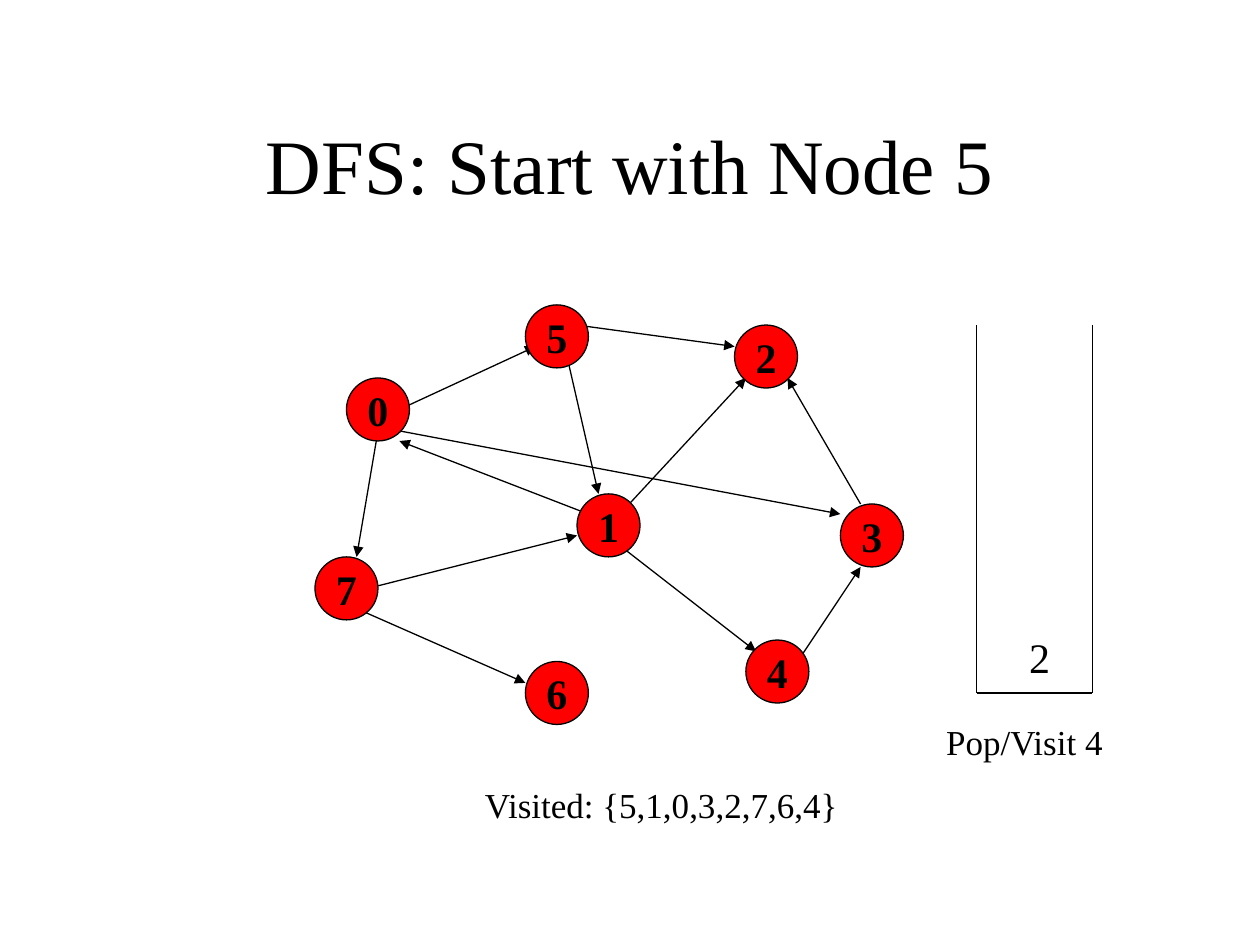
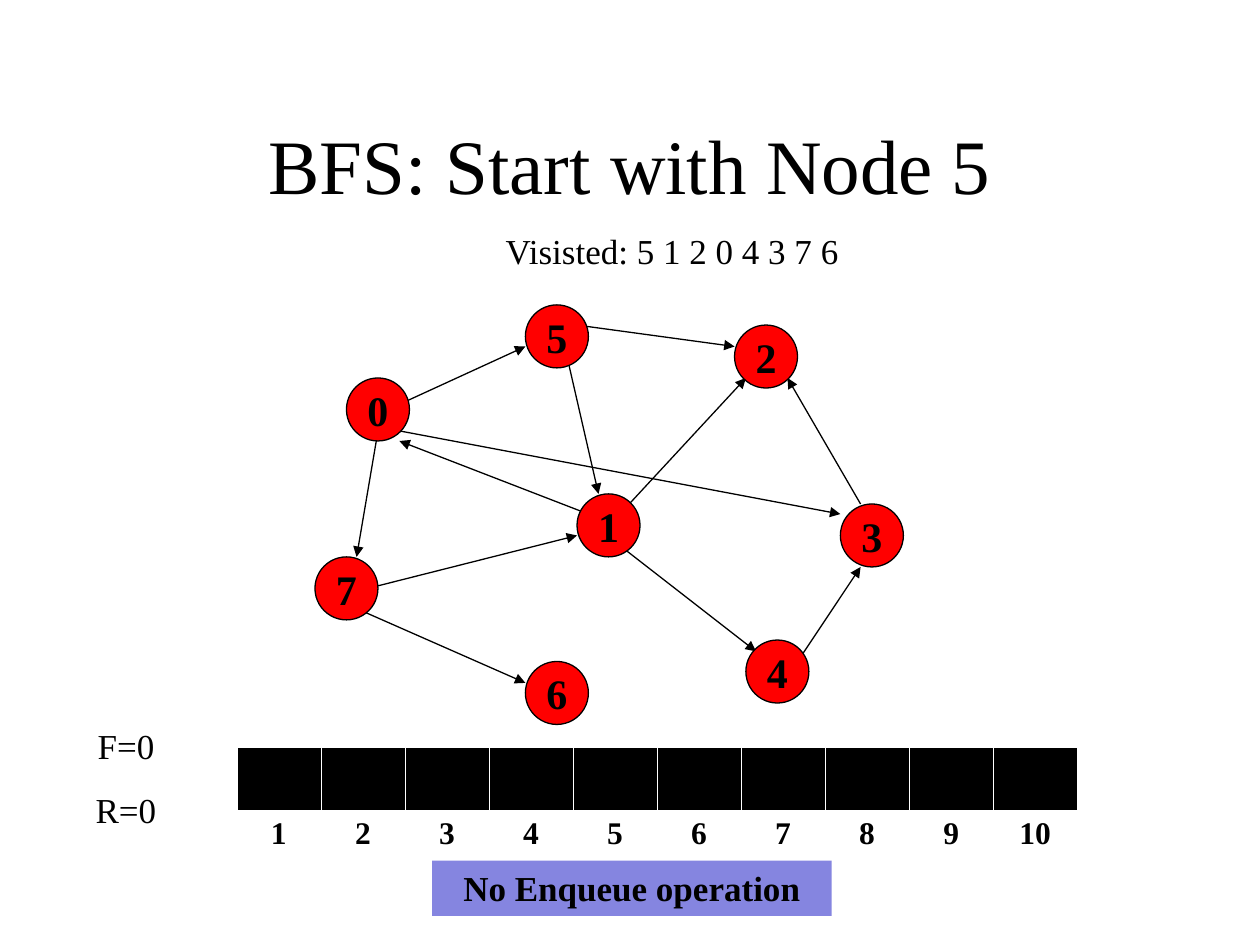
from lxml.etree import SubElement
from pptx import Presentation
from pptx.dml.color import RGBColor
from pptx.enum.shapes import MSO_CONNECTOR, MSO_SHAPE
from pptx.enum.text import MSO_ANCHOR, PP_ALIGN
from pptx.oxml.ns import qn
from pptx.util import Inches, Pt

FONT = "Times New Roman"
BLACK, WHITE, RED, LILAC = "000000", "FFFFFF", "FF0000", "8585E0"
rgb = RGBColor.from_string

SIZE = 0.5
NODES = {
    "0": (2.75, 3), "7": (2.5, 4.42), "1": (4.58, 3.92), "5": (4.17, 2.42),
    "4": (5.92, 5.08), "3": (6.67, 4), "2": (5.83, 2.58), "6": (4.17, 5.25),
}
EDGES = [
    (4.92, 4.08, 5.92, 3),     # 1 to 2
    (4.5, 2.83, 4.75, 3.92),   # 5 to 1
    (2.92, 4.67, 4.58, 4.25),  # 7 to 1
    (2.83, 4.83, 4.17, 5.42),  # 7 to 6
    (3, 3.42, 2.83, 4.42),     # 0 to 7
    (4.92, 4.33, 6, 5.17),     # 1 to 4
    (6.33, 5.25, 6.83, 4.5),   # 4 to 3
    (6.83, 4, 6.25, 3),        # 3 to 2
    (4.58, 2.58, 5.83, 2.75),  # 5 to 2
    (3.17, 3.42, 6.67, 4.08),  # 0 to 3
    (4.67, 4.08, 3.17, 3.5),   # 1 to 0
]
# Each title with its own edge from 0 to 5
TOPICS = [
    ("DFS: Start with Node 5", (3.17, 3.25, 4.25, 2.75)),
    ("BFS: Start with Node 5", (3.08, 3.25, 4.17, 2.75)),
]


def write(shape, text, size=20, bold=False, align=PP_ALIGN.CENTER,
          anchor=MSO_ANCHOR.TOP, wrap=True):
    """Put styled text in a shape, text box or table cell."""
    frame = shape.text_frame
    frame.text = text
    frame.word_wrap = wrap
    frame.vertical_anchor = anchor
    for i, para in enumerate(frame.paragraphs):
        para.alignment = align
        if i:
            para.space_before = Pt(12.5)
        for run in para.runs:
            font = run.font
            font.name, font.size, font.bold = FONT, Pt(size), bold
            font.color.rgb = rgb(BLACK)


def join(slide, ends, arrow=True):
    """Draw a thin black line from one point to another."""
    link = slide.shapes.add_connector(
        MSO_CONNECTOR.STRAIGHT, *[Inches(n) for n in ends])
    link.line.color.rgb = rgb(BLACK)
    link.line.width = Pt(0.75)
    props = link._element.spPr
    if arrow:
        SubElement(props.find(qn("a:ln")), qn("a:tailEnd"), type="triangle")
    SubElement(props, qn("a:effectLst"))


deck = Presentation()
deck.slide_width, deck.slide_height = Inches(10), Inches(7.5)

# Title and graph on both slides
for title, edge in TOPICS:
    slide = deck.slides.add_slide(deck.slide_layouts[6])
    box = slide.shapes.add_textbox(
        Inches(0.75), Inches(0.67), Inches(8.5), Inches(1.25))
    write(box, title, 44, anchor=MSO_ANCHOR.MIDDLE)
    for ends in EDGES + [edge]:
        join(slide, ends)
    for name, (x, y) in NODES.items():
        node = slide.shapes.add_shape(
            MSO_SHAPE.OVAL, Inches(x), Inches(y), Inches(SIZE), Inches(SIZE))
        node.shadow.inherit = False
        node.fill.solid()
        node.fill.fore_color.rgb = rgb(RED)
        node.line.color.rgb = rgb(BLACK)
        node.line.width = Pt(0.75)
        write(node, name, 24, True, anchor=MSO_ANCHOR.MIDDLE, wrap=False)

dfs, bfs = deck.slides

# Stack
left, right, top, base = 7.75, 8.67, 2.58, 5.5
for ends in [(left, top, left, base), (right, top, right, base),
             (left, base, right, base)]:
    join(dfs, ends, arrow=False)
stack = dfs.shapes.add_textbox(
    Inches(7.79), Inches(top), Inches(right - left), Inches(2.88))
write(stack, "2", 24, anchor=MSO_ANCHOR.BOTTOM)

# Queue: slots, then their numbers
COLS = 10
numbers = [str(n + 1) for n in range(COLS)]
for y, high, color, texts in [(5.93, 0.75, BLACK, [""] * COLS),
                              (6.43, 0.41, WHITE, numbers)]:
    table = bfs.shapes.add_table(
        1, COLS, Inches(1.88), Inches(y), Inches(6.67), Inches(high)).table
    table.first_row = table.horz_banding = False
    for cell, text in zip(table.rows[0].cells, texts):
        props = cell._tc.get_or_add_tcPr()
        for side, width in [("L", 0.45), ("R", 0.45), ("T", 0.45), ("B", 1.47)]:
            line = SubElement(props, qn("a:ln" + side), w=str(Pt(width)))
            fill = SubElement(line, qn("a:solidFill"))
            SubElement(fill, qn("a:srgbClr"), val=WHITE)
        cell.fill.solid()
        cell.fill.fore_color.rgb = rgb(color)
        if text:
            write(cell, text, 18, True)

# Captions
for slide, text, x, y, wide, high, align in [
    (dfs, "Visited: {5,1,0,3,2,7,6,4}", 3.75, 6.17, 3.33, 0.44, PP_ALIGN.LEFT),
    (dfs, "Pop/Visit 4", 6.92, 5.67, 2.42, 0.44, PP_ALIGN.CENTER),
    (bfs, "F=0\nR=0", 0.25, 5.7, 1.5, 0.94, PP_ALIGN.CENTER),
    (bfs, "Visisted: 5 1 2 0 4 3 7 6", 3.75, 1.77, 3.17, 0.44, PP_ALIGN.CENTER),
]:
    box = slide.shapes.add_textbox(
        Inches(x), Inches(y), Inches(wide), Inches(high))
    write(box, text, align=align)

# Banner
banner = bfs.shapes.add_shape(
    MSO_SHAPE.RECTANGLE, Inches(3.43), Inches(6.83), Inches(3.17), Inches(0.44))
banner.shadow.inherit = False
banner.fill.solid()
banner.fill.fore_color.rgb = rgb(LILAC)
banner.line.fill.background()
write(banner, "No Enqueue operation", bold=True)

deck.save("out.pptx")
